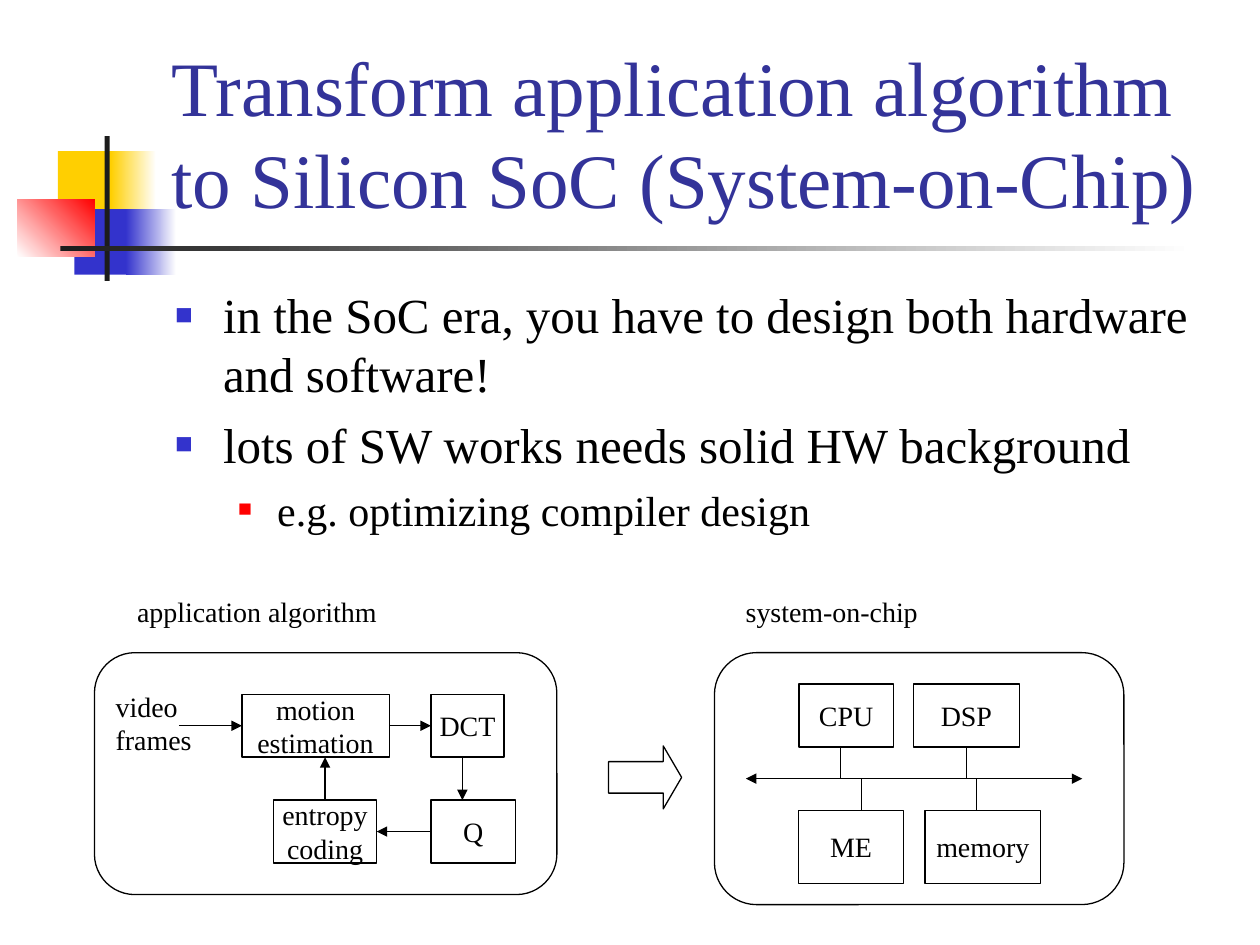
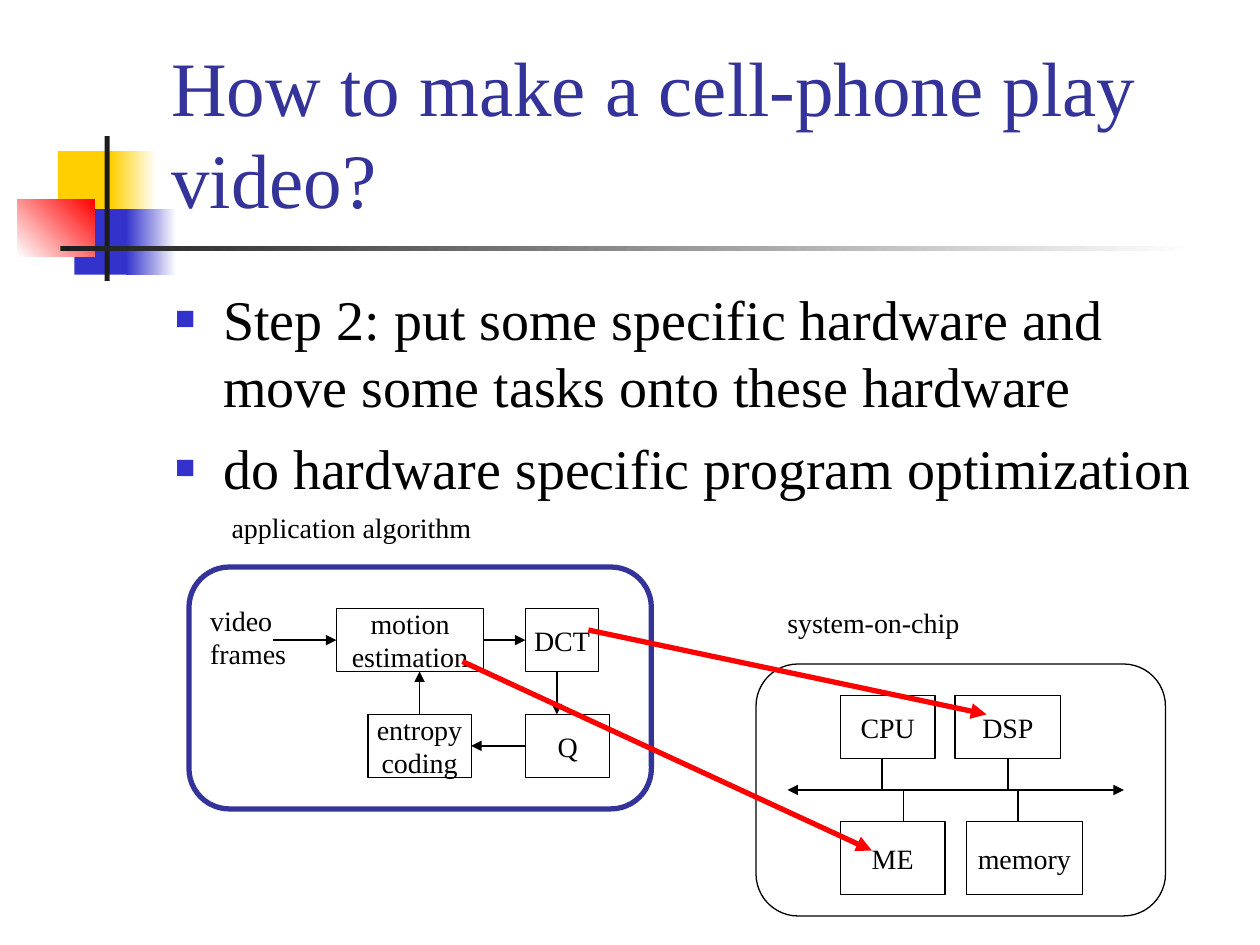
from lxml.etree import SubElement
from pptx import Presentation
from pptx.dml.color import RGBColor
from pptx.enum.shapes import MSO_CONNECTOR, MSO_SHAPE
from pptx.enum.text import MSO_ANCHOR, MSO_AUTO_SIZE, PP_ALIGN
from pptx.oxml.ns import qn
from pptx.util import Inches, Pt

FONT = "Times New Roman"
BLACK, WHITE, RED = "000000", "FFFFFF", "FF0000"
NAVY, BLUE, YELLOW, CHARCOAL = "333399", "3333CC", "FFCF01", "1C1C1C"
TOP, LEFT, BOTTOM, RIGHT = range(4)

# left, top, width, height, colours from start to end, angle
DECORATION = [
    (0.46, 1.2, 0.48, 0.52, [YELLOW], 0),
    (0.88, 1.2, 0.36, 0.52, [YELLOW, WHITE], 0),
    (0.59, 1.66, 0.46, 0.52, [BLUE], 0),
    (1, 1.66, 0.4, 0.52, [BLUE, WHITE], 0),
    (0.14, 1.58, 0.61, 0.46, [WHITE, RED], 45),
    (0.83, 1.08, 0.04, 1.15, [CHARCOAL], 0),
    (0.48, 1.95, 9, 0.04, [CHARCOAL, WHITE], 0),
]
# left margin, hanging indent, bullet colour, bullet size in percent
BULLETS = [(0.38, 0.38, BLUE, 60), (0.81, 0.31, RED, 55)]


def rgb(value):
    return RGBColor.from_string(value)


def apply(target, values):
    for name, value in values.items():
        setattr(target, name, value)


def style_text(frame, size, color=BLACK, align=PP_ALIGN.LEFT):
    for para in frame.paragraphs:
        para.alignment = align
        for span in para.runs:
            apply(span.font, {"name": FONT, "size": Pt(size)})
            span.font.color.rgb = rgb(color)


def place(shape, left, top, width, height):
    apply(shape, {"left": Inches(left), "top": Inches(top),
                  "width": Inches(width), "height": Inches(height)})


def add_outline(shapes, kind, left, top, width, height, color=BLACK, weight=0.75):
    shape = shapes.add_shape(kind, Inches(left), Inches(top), Inches(width), Inches(height))
    shape.shadow.inherit = False
    shape.fill.background()
    shape.line.color.rgb = rgb(color)
    shape.line.width = Pt(weight)
    return shape


def add_block(shapes, text, left, top, width, height=0.5):
    """Draw a labelled rectangle of a diagram."""
    block = add_outline(shapes, MSO_SHAPE.RECTANGLE, left, top, width, height)
    frame = block.text_frame
    frame.text = text
    apply(frame, {"word_wrap": False, "vertical_anchor": MSO_ANCHOR.MIDDLE})
    style_text(frame, 16, align=PP_ALIGN.CENTER)
    return block


def add_frame(shapes, left, top, width, height, color=BLACK, weight=0.75):
    """Draw the rounded border round a diagram."""
    border = add_outline(shapes, MSO_SHAPE.ROUNDED_RECTANGLE,
                         left, top, width, height, color, weight)
    border.adjustments[0] = 0.167


def add_label(shapes, text, left, top, width, height=0.37):
    box = shapes.add_textbox(Inches(left), Inches(top), Inches(width), Inches(height))
    box.text_frame.text = text
    apply(box.text_frame, {"word_wrap": False, "auto_size": MSO_AUTO_SIZE.SHAPE_TO_FIT_TEXT})
    style_text(box.text_frame, 16)


def add_line(shapes, start, end, ends=("tailEnd",), begin=None, finish=None,
             color=BLACK, weight=0.75):
    """Draw a line; begin and finish are (shape, side) pairs to join it to."""
    line = shapes.add_connector(MSO_CONNECTOR.STRAIGHT, *map(Inches, start + end))
    if begin:
        line.begin_connect(*begin)
    if finish:
        line.end_connect(*finish)
    line.line.color.rgb = rgb(color)
    line.line.width = Pt(weight)
    properties = line.element.find(qn("p:spPr"))
    for name in ends:
        SubElement(properties.find(qn("a:ln")), qn("a:" + name), type="triangle")
    SubElement(properties, qn("a:effectLst"))


def decorate(layout, page):
    """Put the coloured squares and rules behind everything on the layout."""
    for index, (left, top, width, height, colors, angle) in enumerate(DECORATION):
        band = add_outline(page.shapes, MSO_SHAPE.RECTANGLE, left, top, width, height)
        band.line.fill.background()
        if len(colors) == 1:
            band.fill.solid()
            band.fill.fore_color.rgb = rgb(colors[0])
        else:
            band.fill.gradient()
            band.fill.gradient_angle = angle
            for stop, color in zip(band.fill.gradient_stops, colors):
                stop.color.rgb = rgb(color)
        layout.shapes.element.insert(2 + index, band.element)


def set_title(page, text):
    title = page.shapes.title
    place(title, 1.26, 0.23, 8.52, 1.6)
    frame = title.text_frame
    frame.text = text
    apply(frame, {"vertical_anchor": MSO_ANCHOR.BOTTOM, "auto_size": MSO_AUTO_SIZE.NONE,
                  "word_wrap": True})
    style_text(frame, 44, NAVY)


def add_bullet(para, level):
    margin, hanging, color, percent = BULLETS[level]
    para.level = level
    properties = para._p.get_or_add_pPr()
    properties.set("marL", str(Inches(margin)))
    properties.set("indent", str(-Inches(hanging)))
    SubElement(SubElement(properties, qn("a:buClr")), qn("a:srgbClr"), val=color)
    SubElement(properties, qn("a:buSzPct"), val=str(percent * 1000))
    SubElement(properties, qn("a:buFont"), typeface=FONT)
    SubElement(properties, qn("a:buChar"), char="■")


def set_body(page, height, items):
    """Fill the body with (text, level, size, space before) items."""
    body = page.placeholders[1]
    place(body, 1.29, 2.21, 8.5, height)
    frame = body.text_frame
    apply(frame, {"auto_size": MSO_AUTO_SIZE.NONE, "word_wrap": True})
    frame.text = "\n".join(item[0] for item in items)
    style_text(frame, items[0][2])
    for para, (_, level, size, space) in zip(frame.paragraphs, items):
        add_bullet(para, level)
        para.space_before = Pt(space)
        para.runs[0].font.size = Pt(size)


def draw_algorithm(page, left, top, label_top, color=BLACK, weight=0.75):
    shapes = page.shapes.add_group_shape().shapes

    def at(x, y):
        return left + x, top + y

    motion = add_block(shapes, "motion\nestimation", *at(1.17, 0.33), 1.17)
    dct = add_block(shapes, "DCT", *at(2.67, 0.33), 0.58)
    quantizer = add_block(shapes, "Q", *at(2.67, 1.17), 0.67)
    entropy = add_block(shapes, "entropy\ncoding", *at(1.42, 1.17), 0.82)
    add_line(shapes, at(0.67, 0.58), at(1.17, 0.58), finish=(motion, LEFT))
    add_line(shapes, at(2.34, 0.58), at(2.67, 0.58), begin=(motion, RIGHT), finish=(dct, LEFT))
    add_line(shapes, at(2.92, 0.83), at(2.92, 1.17))
    add_line(shapes, at(2.67, 1.42), at(2.24, 1.42),
             begin=(quantizer, LEFT), finish=(entropy, RIGHT))
    add_line(shapes, at(1.83, 1.17), at(1.83, 0.83), begin=(entropy, TOP))
    add_label(shapes, "video\nframes", *at(0.07, 0.24), 0.8, 0.64)
    add_frame(shapes, left, top, 3.67, 1.92, color, weight)
    add_label(shapes, "application algorithm", left + 0.24, label_top, 2.1)


def draw_chip(page, left, top):
    shapes = page.shapes.add_group_shape().shapes

    def at(x, y):
        return left + x, top + y

    add_block(shapes, "CPU", *at(0.67, 0.25), 0.75)
    dsp = add_block(shapes, "DSP", *at(1.58, 0.25), 0.84)
    add_block(shapes, "ME", *at(0.67, 1.25), 0.83, 0.58)
    add_block(shapes, "memory", *at(1.67, 1.25), 0.92, 0.58)
    add_line(shapes, at(0.25, 1), at(2.92, 1), ends=("headEnd", "tailEnd"))
    for x, y, begin in [(1, 0.75, None), (2, 0.75, (dsp, BOTTOM)),
                        (1.17, 1.25, None), (2.08, 1.25, None)]:
        add_line(shapes, at(x, y), at(x, 1), ends=(), begin=begin)
    add_frame(shapes, left, top, 3.25, 2)
    add_label(shapes, "system-on-chip", *at(0.15, -0.51), 1.6)


def main():
    deck = Presentation()
    deck.slide_width, deck.slide_height = Inches(10), Inches(7.5)
    layout = deck.slide_layouts[1]

    page = deck.slides.add_slide(layout)
    decorate(layout, page)
    set_title(page, "Transform application algorithm to Silicon SoC (System-on-Chip)")
    set_body(page, 2.29, [
        ("in the SoC era, you have to design both hardware and software!", 0, 28, 0),
        ("lots of SW works needs solid HW background", 0, 28, 7),
        ("e.g. optimizing compiler design", 1, 24, 6),
    ])
    draw_algorithm(page, 0.75, 5.18, 4.67)
    draw_chip(page, 5.67, 5.18)
    arrow = add_outline(page.shapes, MSO_SHAPE.RIGHT_ARROW, 4.83, 5.92, 0.58, 0.5)
    arrow.adjustments[1] = 0.292

    page = deck.slides.add_slide(layout)
    set_title(page, "How to make a cell-phone play video?")
    set_body(page, 4.5, [
        ("Step 2: put some specific hardware and move some tasks onto these hardware", 0, 32, 0),
        ("do hardware specific program optimization", 0, 32, 8),
    ])
    draw_algorithm(page, 1.5, 4.5, 4, NAVY, 3)
    draw_chip(page, 6, 5.27)
    for start, end in [((4.67, 5), (7.83, 5.67)), ((3.67, 5.25), (6.92, 6.75))]:
        add_line(page.shapes, start, end, color=RED, weight=3)

    deck.save("out.pptx")


if __name__ == "__main__":
    main()
